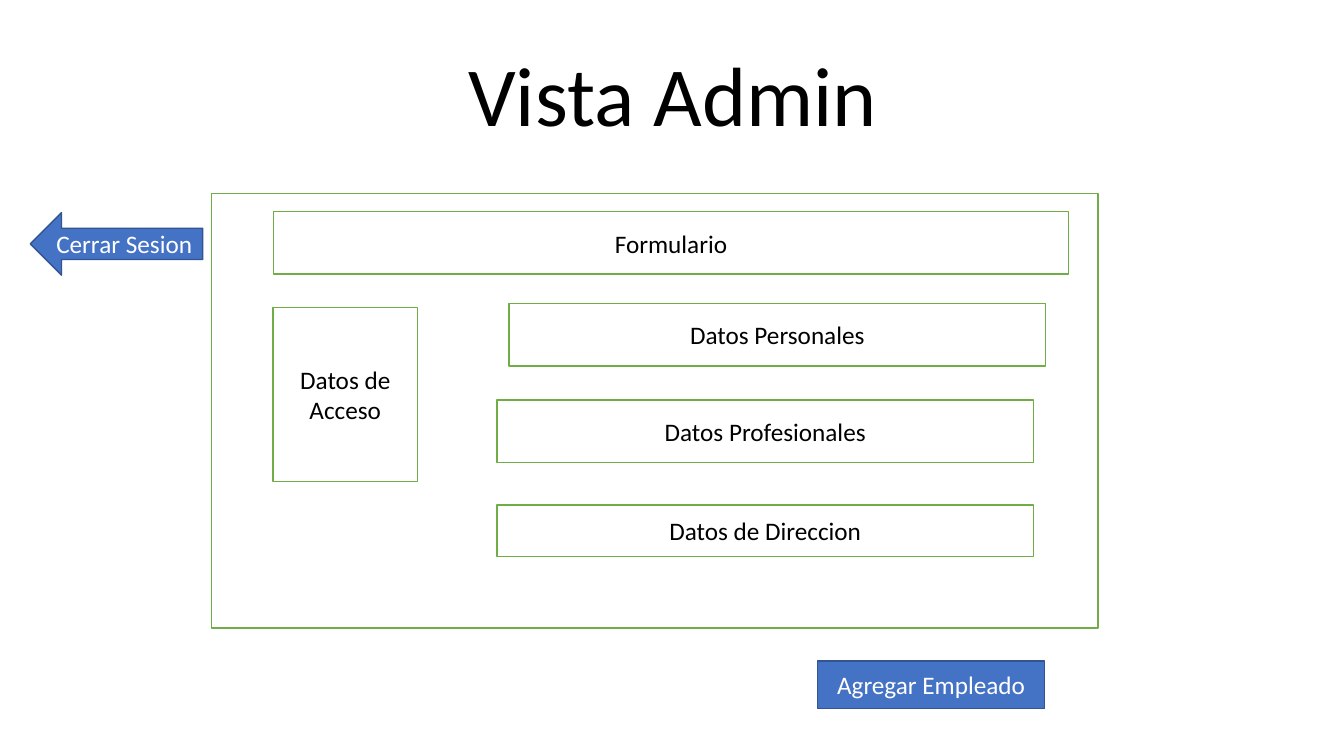
from pptx import Presentation
from pptx.dml.color import RGBColor
from pptx.enum.shapes import MSO_SHAPE as SHAPE
from pptx.enum.text import MSO_ANCHOR, MSO_AUTO_SIZE, PP_ALIGN
from pptx.util import Inches, Pt

WHITE = RGBColor(0xFF, 0xFF, 0xFF)
BLACK = RGBColor(0x00, 0x00, 0x00)
GREEN = RGBColor(0x70, 0xAD, 0x47)
BLUE = RGBColor(0x44, 0x72, 0xC4)
NAVY = RGBColor(0x32, 0x54, 0x91)
FONT = "Calibri"

# Content: styles are (fill, line, text)
TITLE = "Vista Admin"
PANEL = (WHITE, GREEN, BLACK)
BUTTON = (BLUE, NAVY, WHITE)

# Shared columns and sizes, in inches
FORM_LEFT = 2.71
FIELD_LEFT, FIELD_WIDTH = 4.93, 5.32
BAR = 0.62

# text, preset, style, (left, top, width, height)
PARTS = [
    ("", SHAPE.RECTANGLE, PANEL, (2.1, 1.92, 8.79, 4.31)),
    ("Agregar Empleado", SHAPE.RECTANGLE, BUTTON, (8.11, 6.56, 2.25, 0.47)),
    ("Cerrar Sesion", SHAPE.LEFT_ARROW, BUTTON, (0.3, 2.11, 1.71, BAR)),
    ("Formulario", SHAPE.RECTANGLE, PANEL, (FORM_LEFT, 2.1, 7.89, BAR)),
    ("Datos de Acceso", SHAPE.RECTANGLE, PANEL, (FORM_LEFT, 3.05, 1.43, 1.73)),
    ("Datos Personales", SHAPE.RECTANGLE, PANEL,
     (FIELD_LEFT + 0.12, 3.01, FIELD_WIDTH, BAR)),
    ("Datos Profesionales", SHAPE.RECTANGLE, PANEL,
     (FIELD_LEFT, 3.97, FIELD_WIDTH, BAR)),
    ("Datos de Direccion", SHAPE.RECTANGLE, PANEL,
     (FIELD_LEFT, 5.01, FIELD_WIDTH, 0.51)),
]


def place(sp, box):
    sp.left, sp.top, sp.width, sp.height = (Inches(v) for v in box)


def write(sp, text, size, color, anchor):
    tf = sp.text_frame
    tf.word_wrap = True
    tf.auto_size = MSO_AUTO_SIZE.NONE
    tf.vertical_anchor = anchor
    p = tf.paragraphs[0]
    p.text = text
    p.alignment = PP_ALIGN.CENTER
    p.font.name = FONT
    p.font.size = Pt(size)
    p.font.color.rgb = color
    return p


def add_part(slide, text, preset, style, box):
    fill, line, color = style
    sp = slide.shapes.add_shape(preset, *(Inches(v) for v in box))
    sp.shadow.inherit = False
    sp.fill.solid()
    sp.fill.fore_color.rgb = fill
    sp.line.color.rgb = line
    sp.line.width = Pt(1)
    if text:
        write(sp, text, 18, color, MSO_ANCHOR.MIDDLE)


def main():
    prs = Presentation()
    prs.slide_width, prs.slide_height = Inches(13.33), Inches(7.5)
    slide = prs.slides.add_slide(prs.slide_layouts[5])

    # Title
    title = slide.shapes.title
    place(title, (1.67, 0.47, 10, 1.02))
    p = write(title, TITLE, 60, BLACK, MSO_ANCHOR.BOTTOM)
    p.line_spacing = 0.9

    # Form, its sections and the buttons
    for part in PARTS:
        add_part(slide, *part)

    prs.save("out.pptx")


if __name__ == "__main__":
    main()
